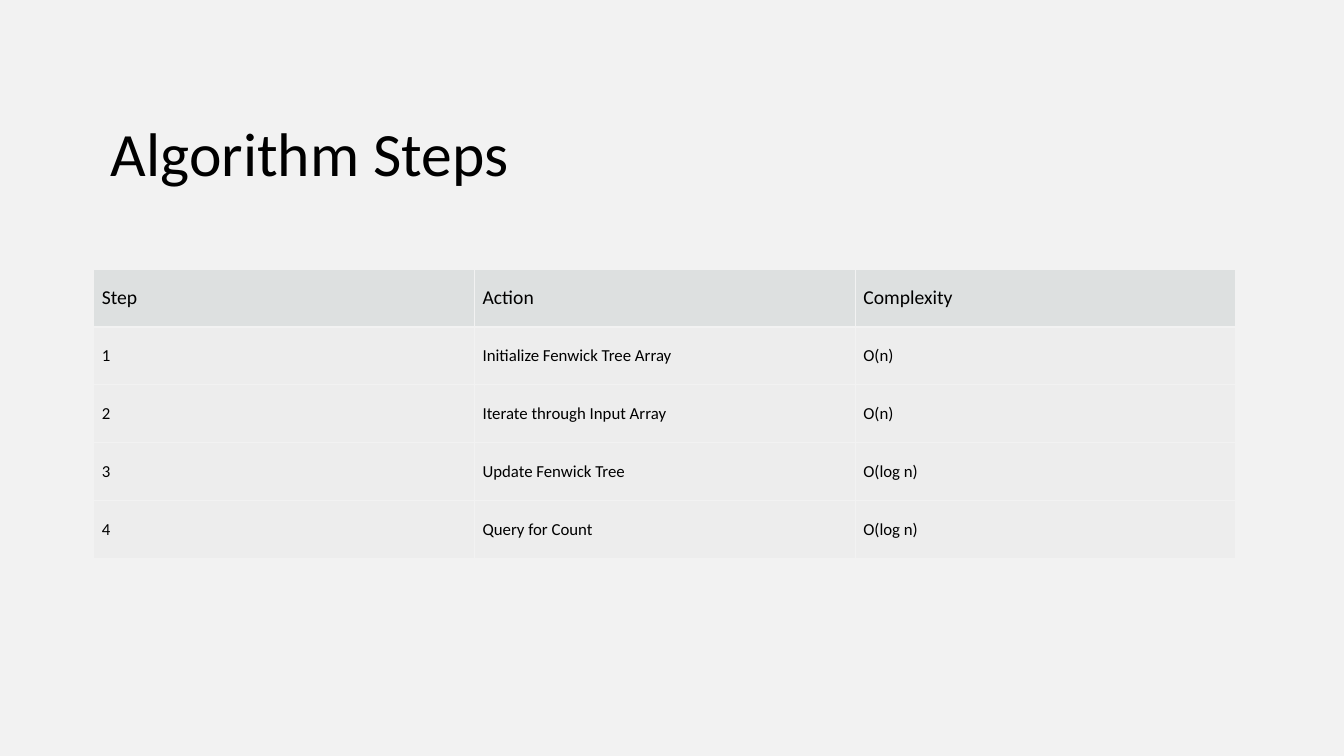
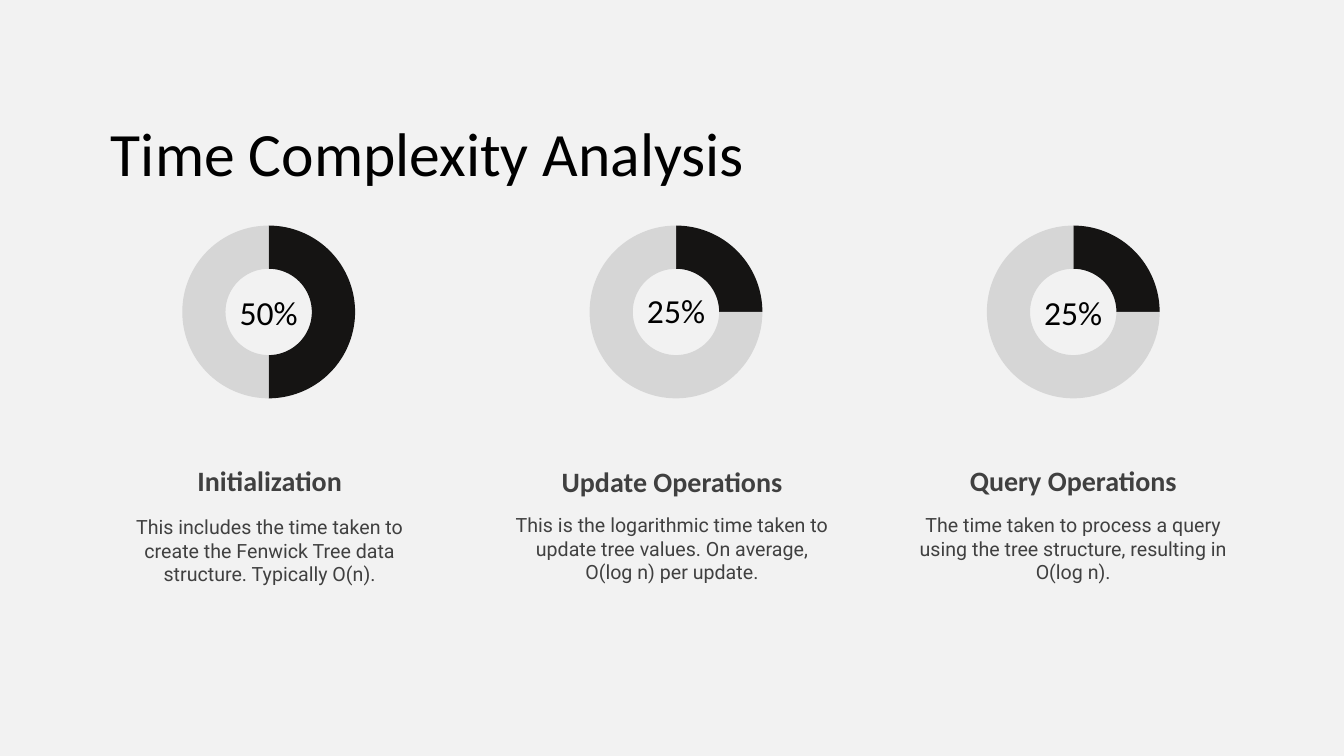
"""Build two slides on the steps and time complexity of a Fenwick tree algorithm."""
from dataclasses import dataclass

import lxml.etree
import pptx
import pptx.chart.data
import pptx.dml.color
import pptx.enum.chart
import pptx.enum.text
import pptx.oxml
import pptx.oxml.ns
import pptx.presentation
import pptx.shapes.base
import pptx.slide
import pptx.table
import pptx.text.text
import pptx.util

Inches = pptx.util.Inches
Align = pptx.enum.text.PP_ALIGN
Anchor = pptx.enum.text.MSO_ANCHOR


@dataclass(frozen=True)
class Theme:
    background: str = "F2F2F2"
    ink: str = "000000"
    muted: str = "404040"
    header_fill: str = "DDE0E0"
    body_fill: str = "EDEDED"
    share: str = "151413"
    remainder: str = "D6D6D6"
    ring_line: str = "F9F9F9"
    font: str = "Calibri"
    text_font: str = "Roboto"
    title_size: float = 44
    percent_size: float = 24
    heading_size: float = 20
    text_size: float = 14
    cell_size: float = 12
    chart_size: float = 10


THEME = Theme()


@dataclass(frozen=True)
class Style:
    size: float
    color: str = THEME.ink
    font: str = THEME.font
    bold: bool = False
    align: Align = Align.CENTER
    anchor: Anchor = Anchor.MIDDLE


TITLE = Style(THEME.title_size, align=Align.LEFT)
HEADER_CELL = Style(THEME.text_size, align=Align.LEFT)
BODY_CELL = Style(THEME.cell_size, align=Align.LEFT)
PERCENT = Style(THEME.percent_size)
HEADING = Style(THEME.heading_size, THEME.muted, bold=True, anchor=Anchor.BOTTOM)
DESCRIPTION = Style(THEME.text_size, THEME.muted, THEME.text_font, anchor=Anchor.TOP)


@dataclass(frozen=True)
class Box:
    left: float
    top: float
    width: float
    height: float

    def lengths(self) -> tuple[pptx.util.Length, ...]:
        return tuple(Inches(value) for value in (self.left, self.top, self.width, self.height))


@dataclass(frozen=True)
class Operation:
    percent: int
    heading: str
    description: str
    chart_left: float
    text_left: float
    percent_top: float = 2.85
    heading_top: float = 4.17
    description_top: float = 5.04


TITLE_BOX = Box(1, 0.79, 11.42, 1.44)
TABLE_BOX = Box(0.93, 2.67, 11.33, 2.87)
RING_TOP, RING_SIZE = 2.1, 1.99
PERCENT_WIDTH = 1
STEPS = (
    ("Step", "Action", "Complexity"),
    ("1", "Initialize Fenwick Tree Array", "O(n)"),
    ("2", "Iterate through Input Array", "O(n)"),
    ("3", "Update Fenwick Tree", "O(log n)"),
    ("4", "Query for Count", "O(log n)"),
)
OPERATIONS = (
    Operation(50, "Initialization",
              "This includes the time taken to create the Fenwick Tree data structure. Typically O(n).",
              1.67, 1, description_top=5.06),
    Operation(25, "Update Operations",
              "This is the logarithmic time taken to update tree values. On average, O(log n) per update.",
              5.71, 4.99, percent_top=2.83, heading_top=4.18),
    Operation(25, "Query Operations",
              "The time taken to process a query using the tree structure, resulting in O(log n).",
              9.65, 8.97),
)


def rgb(color: str) -> pptx.dml.color.RGBColor:
    return pptx.dml.color.RGBColor.from_string(color)


def write(text_frame: pptx.text.text.TextFrame, text: str, style: Style) -> None:
    paragraph = text_frame.paragraphs[0]
    paragraph.alignment = style.align
    run = paragraph.add_run()
    run.text = text
    run.font.name = style.font
    run.font.size = pptx.util.Pt(style.size)
    run.font.bold = style.bold
    run.font.color.rgb = rgb(style.color)


def fill_frame(shape: pptx.shapes.base.BaseShape, text: str, style: Style) -> None:
    text_frame = shape.text_frame
    text_frame.word_wrap = True
    text_frame.auto_size = pptx.enum.text.MSO_AUTO_SIZE.NONE
    text_frame.vertical_anchor = style.anchor
    write(text_frame, text, style)


def add_text(slide: pptx.slide.Slide, box: Box, text: str, style: Style) -> None:
    fill_frame(slide.shapes.add_textbox(*box.lengths()), text, style)


def add_titled_slide(presentation: pptx.presentation.Presentation, text: str) -> pptx.slide.Slide:
    slide = presentation.slides.add_slide(presentation.slide_layouts.get_by_name("Title Only"))
    title = slide.shapes.title
    title.left, title.top, title.width, title.height = TITLE_BOX.lengths()
    fill_frame(title, text, TITLE)
    return slide


def add_borders(cell: pptx.table._Cell) -> None:
    properties = cell._tc.get_or_add_tcPr()
    for position, side in enumerate(("lnL", "lnR", "lnT", "lnB")):
        border = pptx.oxml.parse_xml(
            f'<a:{side} {pptx.oxml.ns.nsdecls("a")} w="12700"><a:solidFill>'
            f'<a:srgbClr val="{THEME.background}"/></a:solidFill></a:{side}>'
        )
        properties.insert(position, border)


def add_steps_table(slide: pptx.slide.Slide) -> None:
    table = slide.shapes.add_table(len(STEPS), len(STEPS[0]), *TABLE_BOX.lengths()).table
    table.horz_banding = False
    for row_index, row in enumerate(STEPS):
        is_header = row_index == 0
        for column_index, text in enumerate(row):
            cell = table.cell(row_index, column_index)
            cell.margin_left = cell.margin_right = Inches(0.08)
            cell.margin_top = cell.margin_bottom = Inches(0.08)
            cell.vertical_anchor = Anchor.MIDDLE
            cell.fill.solid()
            cell.fill.fore_color.rgb = rgb(THEME.header_fill if is_header else THEME.body_fill)
            write(cell.text_frame, text, HEADER_CELL if is_header else BODY_CELL)
            add_borders(cell)


def add_ring(slide: pptx.slide.Slide, box: Box, percent: int) -> None:
    data = pptx.chart.data.CategoryChartData()
    data.categories = ("1", "2")
    data.add_series("Series 1", (percent, 100 - percent))
    chart = slide.shapes.add_chart(
        pptx.enum.chart.XL_CHART_TYPE.DOUGHNUT, *box.lengths(), data
    ).chart
    chart.has_legend = False
    chart.has_title = False
    chart.font.name = THEME.font
    chart.font.size = pptx.util.Pt(THEME.chart_size)
    chart.font.color.rgb = rgb(THEME.ink)
    plot = chart.plots[0]
    plot.vary_by_categories = True
    plot._element.find(pptx.oxml.ns.qn("c:holeSize")).set("val", "90")
    series = plot.series[0]
    series.format.line.color.rgb = rgb(THEME.ring_line)
    series.format.line.width = pptx.util.Pt(0.75)
    for index, color in enumerate((THEME.share, THEME.remainder)):
        point_format = series.points[index].format
        point_format.fill.solid()
        point_format.fill.fore_color.rgb = rgb(color)
        point_format.line.fill.background()


def add_operation(slide: pptx.slide.Slide, operation: Operation) -> None:
    add_ring(slide, Box(operation.chart_left, RING_TOP, RING_SIZE, RING_SIZE), operation.percent)
    percent_left = operation.chart_left + (RING_SIZE - PERCENT_WIDTH) / 2
    add_text(slide, Box(percent_left, operation.percent_top, PERCENT_WIDTH, 0.5),
             f"{operation.percent}%", PERCENT)
    add_text(slide, Box(operation.text_left, operation.heading_top, 3.35, 0.81),
             operation.heading, HEADING)
    add_text(slide, Box(operation.text_left, operation.description_top, 3.35, 1.44),
             operation.description, DESCRIPTION)


def main() -> None:
    presentation = pptx.Presentation()
    presentation.slide_width = Inches(13.33)
    presentation.slide_height = Inches(7.5)
    background = presentation.slide_master.background.fill
    background.solid()
    background.fore_color.rgb = rgb(THEME.background)
    add_steps_table(add_titled_slide(presentation, "Algorithm Steps"))
    complexity_slide = add_titled_slide(presentation, "Time Complexity Analysis")
    for operation in OPERATIONS:
        add_operation(complexity_slide, operation)
    presentation.save("out.pptx")


if __name__ == "__main__":
    main()
